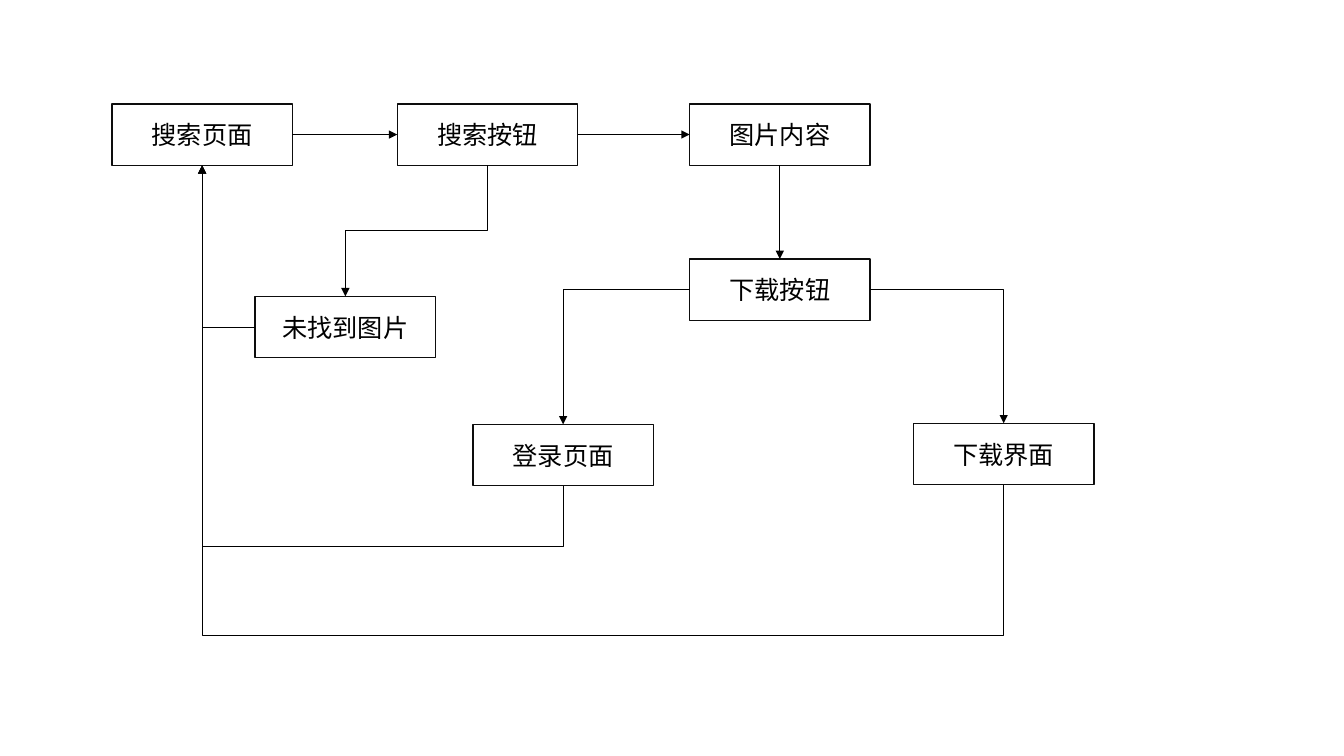
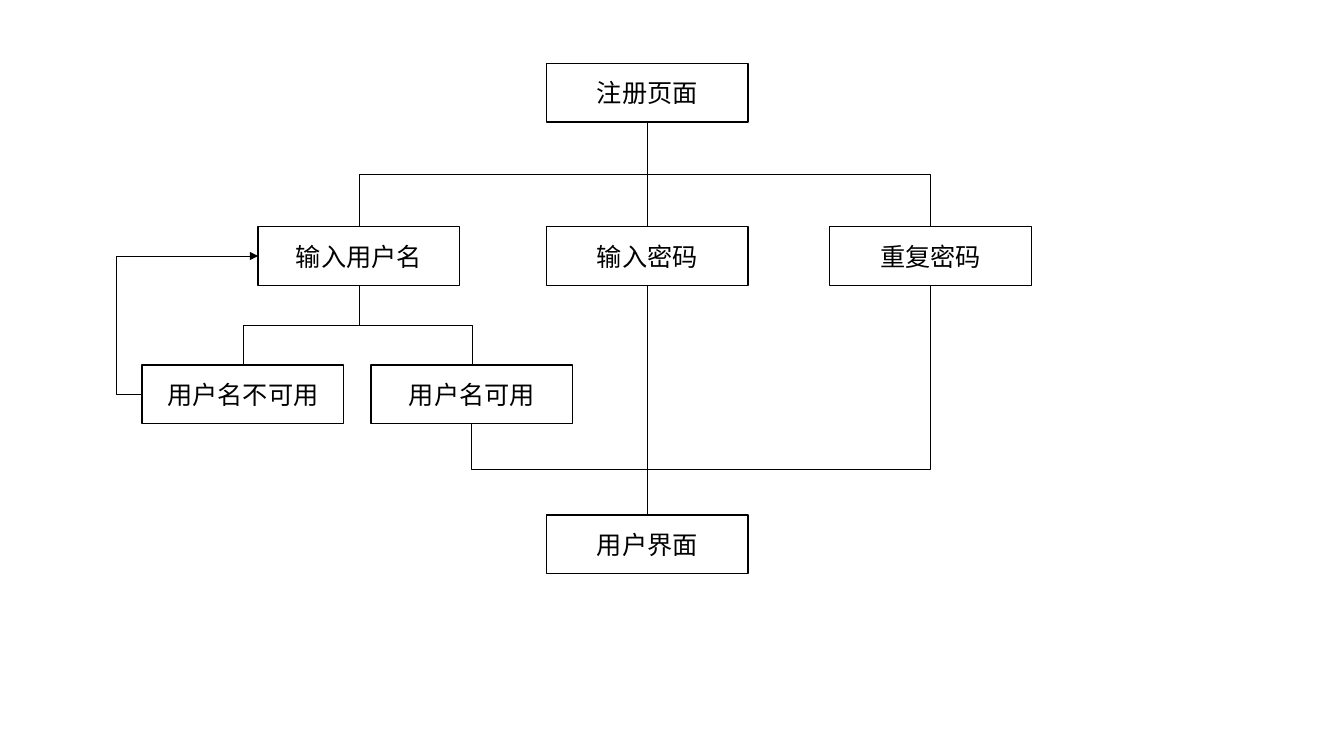
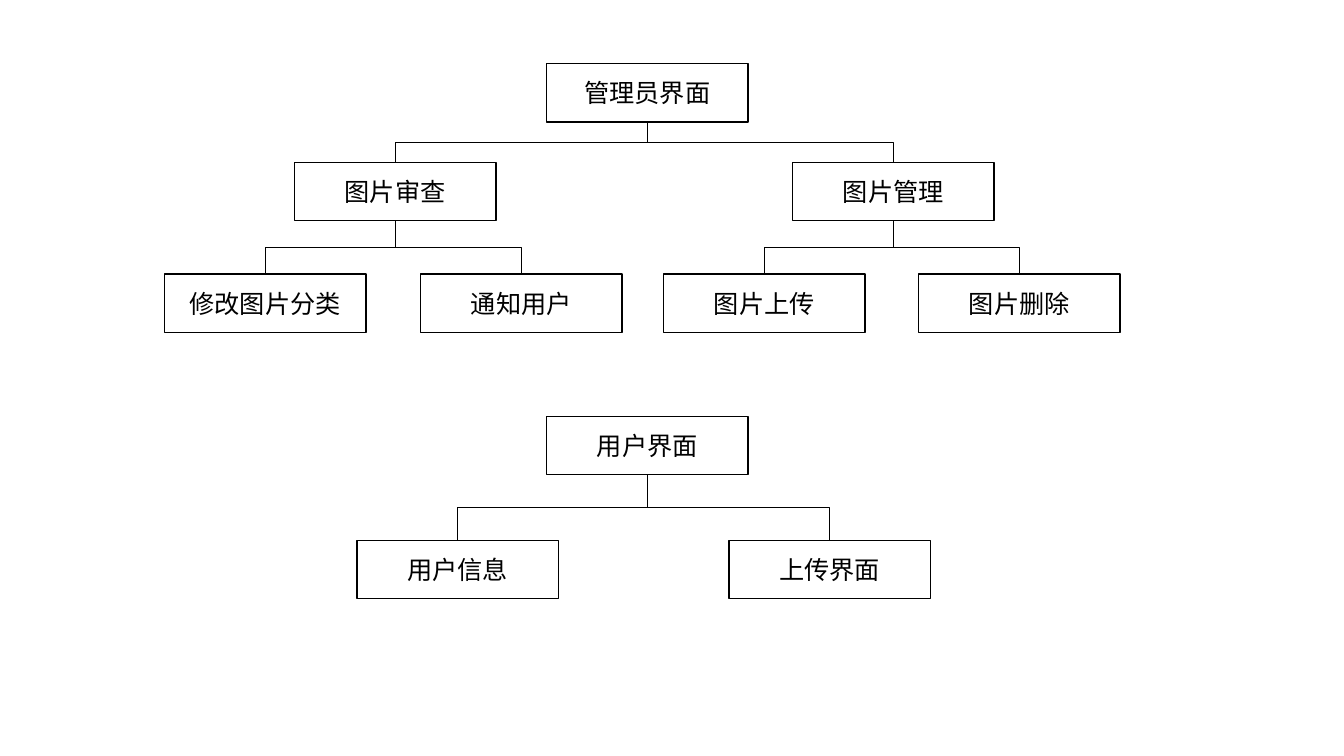
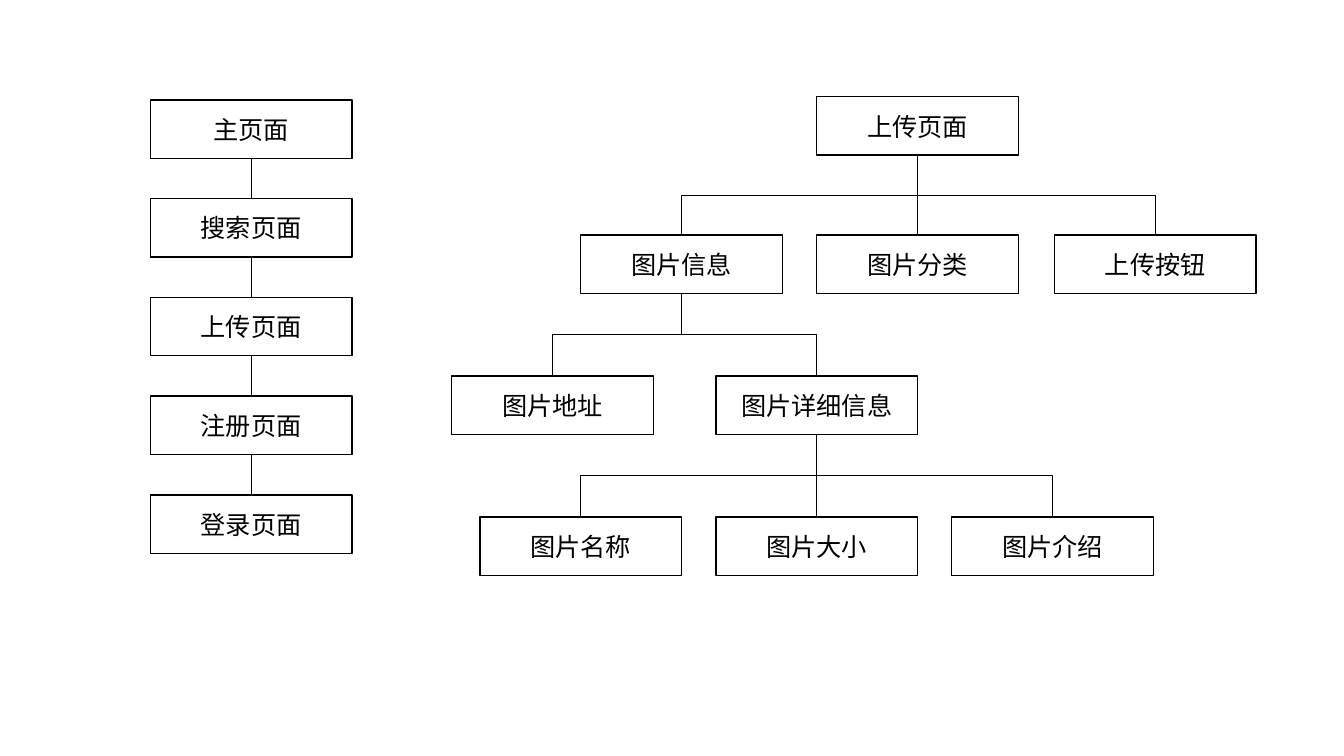
from lxml.etree import SubElement
from pptx import Presentation
from pptx.dml.color import RGBColor
from pptx.enum.shapes import MSO_CONNECTOR, MSO_SHAPE
from pptx.enum.text import MSO_ANCHOR, PP_ALIGN
from pptx.oxml.ns import qn
from pptx.util import Inches, Pt

COLORS = {"fill": "FFFFFF", "ink": "000000", "soft": "0D0D0D"}
TOP, LEFT, BOTTOM, RIGHT = range(4)


class FlowDeck:
    """Draws boxes and connectors in one shared style on the current slide."""

    font = "Calibri"
    font_size = Pt(18)
    border_width = Pt(1)
    link_width = Pt(0.5)

    def __init__(self):
        self.prs = Presentation()
        self.prs.slide_width = Inches(13.33)
        self.prs.slide_height = Inches(7.5)

    def new_slide(self, box_size=(2, 0.58), border="ink"):
        self.slide = self.prs.slides.add_slide(self.prs.slide_layouts[6])
        self.box_size = box_size
        self.border = border

    def color(self, name):
        return RGBColor.from_string(COLORS[name])

    def box(self, label, left, top):
        width, height = self.box_size
        box = self.slide.shapes.add_shape(
            MSO_SHAPE.RECTANGLE, Inches(left), Inches(top), Inches(width), Inches(height))
        box.shadow.inherit = False
        box.fill.solid()
        box.fill.fore_color.rgb = self.color("fill")
        box.line.color.rgb = self.color(self.border)
        box.line.width = self.border_width
        box.text_frame.text = label
        box.text_frame.vertical_anchor = MSO_ANCHOR.MIDDLE
        paragraph = box.text_frame.paragraphs[0]
        paragraph.alignment = PP_ALIGN.CENTER
        font = paragraph.runs[0].font
        font.name = self.font
        font.size = self.font_size
        font.color.rgb = self.color("ink")
        return box

    def row(self, top, placed_labels):
        return [self.box(label, left, top) for label, left in placed_labels]

    def link(self, kind, start, start_side, end, end_side, arrow):
        link = self.slide.shapes.add_connector(kind, 0, 0, 0, 0)
        link.begin_connect(start, start_side)
        link.end_connect(end, end_side)
        link.line.color.rgb = self.color("ink")
        link.line.width = self.link_width
        properties = link._element.spPr
        if arrow:
            SubElement(properties.find(qn("a:ln")), qn("a:tailEnd"), type="triangle")
        SubElement(properties, qn("a:effectLst"))
        return link

    def straight(self, start, end, start_side=BOTTOM, end_side=TOP, arrow=False):
        self.link(MSO_CONNECTOR.STRAIGHT, start, start_side, end, end_side, arrow)

    def elbow(self, start, end, start_side=BOTTOM, end_side=TOP, arrow=False, bend=0.5):
        link = self.link(MSO_CONNECTOR.ELBOW, start, start_side, end, end_side, arrow)
        dx, dy = link.end_x - link.begin_x, link.end_y - link.begin_y
        center_x = (link.begin_x + link.end_x) // 2
        center_y = (link.begin_y + link.end_y) // 2
        width, height = abs(dx), abs(dy)
        if start_side in (TOP, BOTTOM):
            width, height = height, width
            turn = 270 if dx > 0 else 90
            flip_h, flip_v = (dx > 0) == (dy > 0), False
        else:
            turn = 180 if dx < 0 or dy < 0 else 0
            flip_h, flip_v = turn and dx > 0, turn and dy > 0
        link.left, link.top = center_x - width // 2, center_y - height // 2
        link.width, link.height = width, height
        frame = link._element.spPr.find(qn("a:xfrm"))
        frame.set("rot", str(turn * 60000))
        frame.set("flipH", "1" if flip_h else "0")
        frame.set("flipV", "1" if flip_v else "0")
        geometry = link._element.spPr.find(qn("a:prstGeom"))
        if start_side % 2 != end_side % 2:
            geometry.set("prst", "bentConnector2")
        elif bend != 0.5:
            SubElement(geometry.find(qn("a:avLst")), qn("a:gd"),
                       name="adj1", fmla=f"val {round(bend * 100000)}")

    def branch(self, parent, children):
        for child in children:
            join = self.straight if child.left == parent.left else self.elbow
            join(parent, child)


def search_flow(deck):
    deck.new_slide((1.79, 0.61), "soft")
    search, search_button, content = deck.row(
        1.03, [("搜索页面", 1.11), ("搜索按钮", 3.94), ("图片内容", 6.84)])
    download_button = deck.box("下载按钮", 6.84, 2.57)
    not_found = deck.box("未找到图片", 2.53, 2.94)
    login = deck.box("登录页面", 4.69, 4.21)
    download = deck.box("下载界面", 9.06, 4.2)
    deck.straight(search, search_button, RIGHT, LEFT, arrow=True)
    deck.straight(search_button, content, RIGHT, LEFT, arrow=True)
    deck.straight(content, download_button, arrow=True)
    deck.elbow(search_button, not_found, arrow=True)
    deck.elbow(download_button, login, LEFT, TOP, arrow=True)
    deck.elbow(download_button, download, RIGHT, TOP, arrow=True)
    deck.elbow(not_found, search, LEFT, BOTTOM, arrow=True)
    deck.elbow(login, search, BOTTOM, BOTTOM, arrow=True, bend=-0.19)
    deck.elbow(download, search, BOTTOM, BOTTOM, arrow=True, bend=-0.47)


def registration_flow(deck):
    deck.new_slide()
    register = deck.box("注册页面", 5.42, 0.63)
    fields = deck.row(2.25, [("输入用户名", 2.56), ("输入密码", 5.42), ("重复密码", 8.23)])
    user_name, password, repeat_password = fields
    checks = deck.row(3.62, [("用户名不可用", 1.41), ("用户名可用", 3.68)])
    taken, available = checks
    user_page = deck.box("用户界面", 5.42, 5.11)
    deck.branch(register, fields)
    deck.branch(user_name, checks)
    deck.elbow(taken, user_name, LEFT, LEFT, arrow=True, bend=-0.22)
    deck.elbow(available, user_page)
    deck.straight(password, user_page)
    deck.elbow(repeat_password, user_page, bend=0.8)


def page_trees(deck):
    deck.new_slide()
    admin = deck.box("管理员界面", 5.42, 0.63)
    duties = deck.row(1.61, [("图片审查", 2.92), ("图片管理", 7.86)])
    review, management = duties
    tasks = deck.row(2.72, [("修改图片分类", 1.63), ("通知用户", 4.17),
                            ("图片上传", 6.58), ("图片删除", 9.11)])
    deck.branch(admin, duties)
    deck.branch(review, tasks[:2])
    deck.branch(management, tasks[2:])
    user_page = deck.box("用户界面", 5.42, 4.13)
    deck.branch(user_page, deck.row(5.36, [("用户信息", 3.54), ("上传界面", 7.23)]))


def site_and_upload(deck):
    deck.new_slide()
    names = ["主页面", "搜索页面", "上传页面", "注册页面", "登录页面"]
    pages = [deck.box(name, 1.49, 0.99 + 0.98 * i) for i, name in enumerate(names)]
    for page, next_page in zip(pages, pages[1:]):
        deck.straight(page, next_page)
    upload = deck.box("上传页面", 8.1, 0.96)
    parts = deck.row(2.33, [("图片信息", 5.76), ("图片分类", 8.1), ("上传按钮", 10.46)])
    sources = deck.row(3.73, [("图片地址", 4.48), ("图片详细信息", 7.1)])
    details = deck.row(5.13, [("图片名称", 4.76), ("图片大小", 7.1), ("图片介绍", 9.44)])
    deck.branch(upload, parts)
    deck.branch(parts[0], sources)
    deck.branch(sources[1], details)


def main():
    deck = FlowDeck()
    for draw in (search_flow, registration_flow, page_trees, site_and_upload):
        draw(deck)
    deck.prs.save("out.pptx")


if __name__ == "__main__":
    main()
